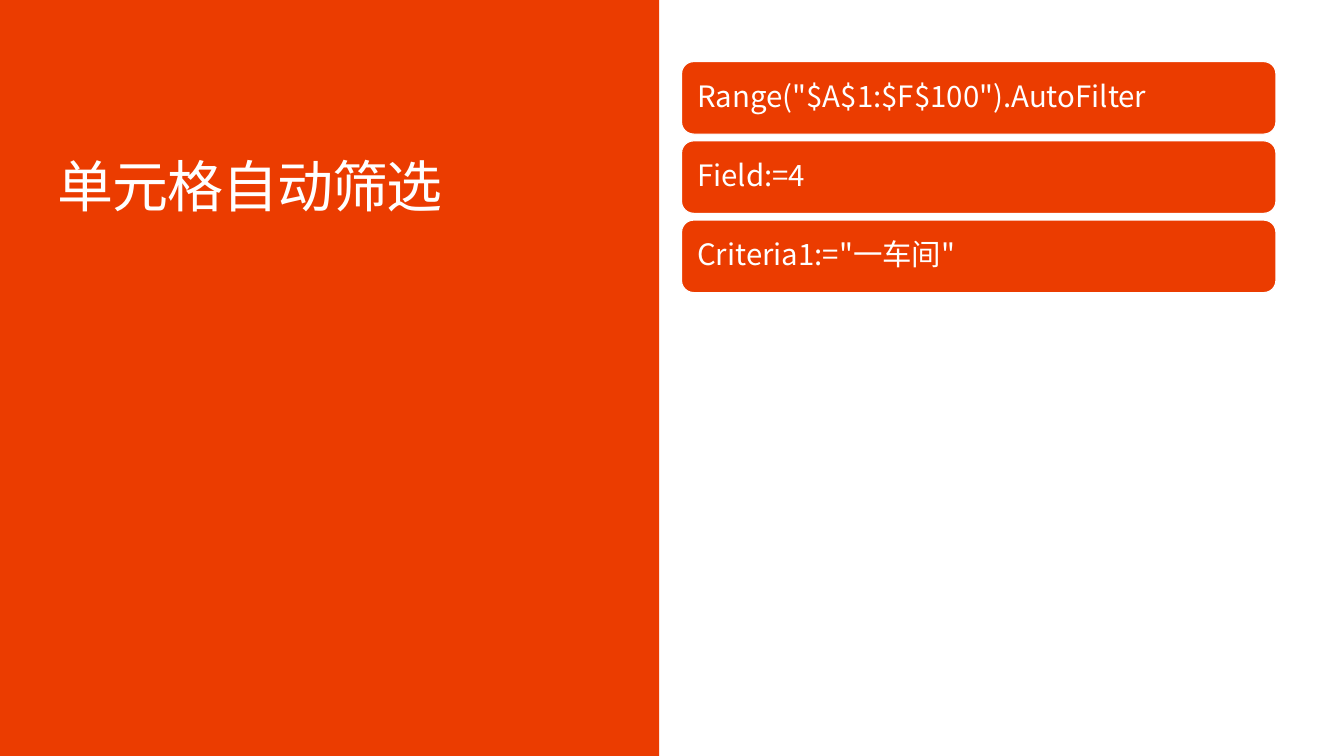
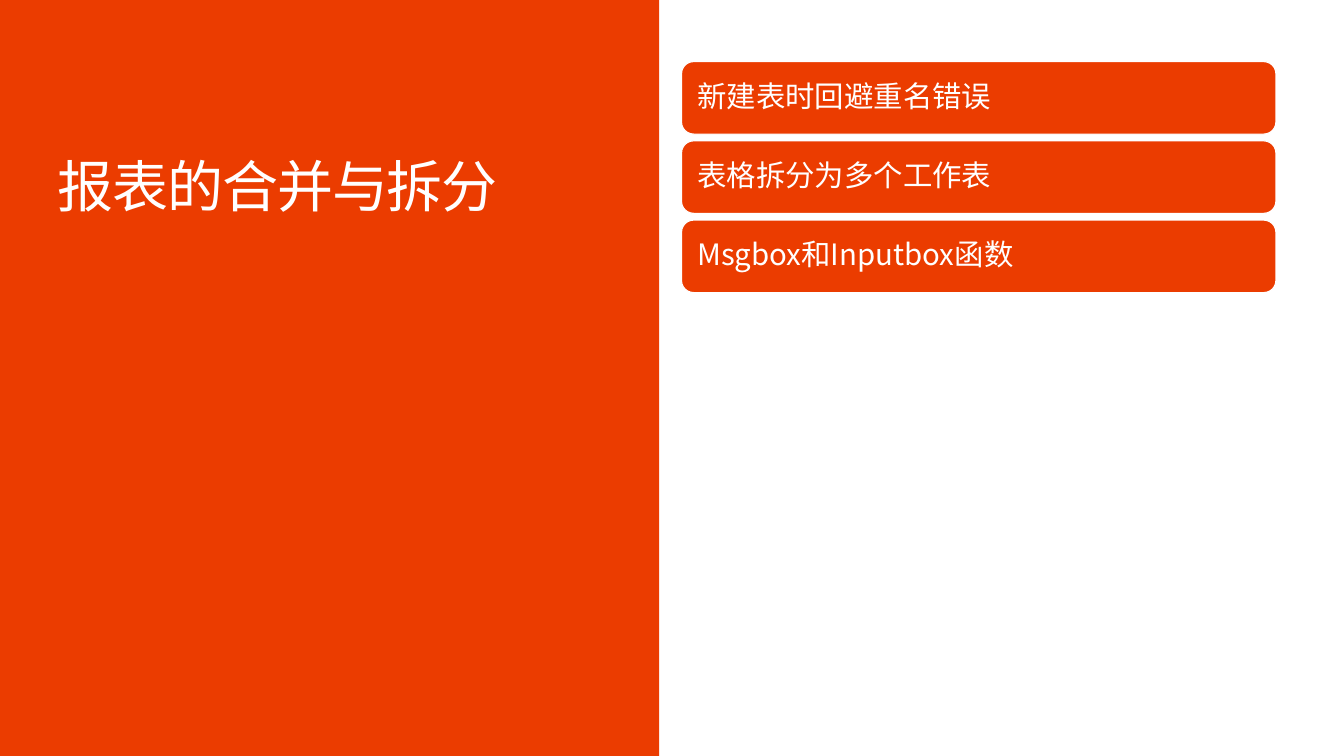
from pptx import Presentation
from pptx.dml.color import RGBColor
from pptx.enum import shapes, text
from pptx.oxml.ns import qn
from pptx.util import Pt
from lxml import etree

# Shared style
ORANGE = RGBColor(0xEB, 0x3C, 0x00)
WHITE = RGBColor(0xFF, 0xFF, 0xFF)
FONT = "Noto Sans CJK SC"
SLIDE_WIDTH, SLIDE_HEIGHT = 960, 540

# Regions: left, top, width, height in points
PANEL_BOX = (-0.7, 0, 471.6, SLIDE_HEIGHT)
TITLE_BOX = (41, 113.8, 411.8, 131)
BARS_BOX = (486.8, 44, 424.6, 165)
BAR_GAP = 4.8
BAR_INSET = 8.7

TOPICS = [
    ("单元格自动筛选",
     ['Range("$A$1:$F$100").AutoFilter', "Field:=4", 'Criteria1:="一车间"']),
    ("报表的合并与拆分",
     ["新建表时回避重名错误", "表格拆分为多个工作表", "Msgbox和Inputbox函数"]),
]


def write_text(shape, words, size, inset, anchor, tracking=0):
    frame = shape.text_frame
    frame.word_wrap = True
    frame.vertical_anchor = anchor
    frame.margin_left = frame.margin_right = Pt(inset)
    frame.margin_top = frame.margin_bottom = Pt(inset)
    paragraph = frame.paragraphs[0]
    paragraph.alignment = text.PP_ALIGN.LEFT
    paragraph.line_spacing = 0.9
    run = paragraph.add_run()
    run.text = words
    run.font.size = Pt(size)
    run.font.name = FONT
    run.font.color.rgb = WHITE
    # East Asian typeface and letter spacing
    properties = run.font._element
    latin = properties.find(qn("a:latin"))
    east_asian = etree.Element(qn("a:ea"), typeface=FONT)
    latin.addnext(east_asian)
    if tracking:
        properties.set("spc", str(round(tracking * 100)))


def add_block(slide, kind, box):
    shape = slide.shapes.add_shape(kind, *map(Pt, box))
    shape.shadow.inherit = False
    shape.fill.solid()
    shape.fill.fore_color.rgb = ORANGE
    shape.line.fill.background()
    return shape


def add_title(slide, box, title):
    title_box = slide.shapes.add_textbox(*map(Pt, box))
    write_text(title_box, title, 40, 0, text.MSO_ANCHOR.TOP, tracking=-0.7)


def add_bars(slide, box, items):
    left, top, width, height = box
    bar_height = (height - BAR_GAP * (len(items) - 1)) / len(items)
    for index, item in enumerate(items):
        bar_top = top + index * (bar_height + BAR_GAP)
        bar = add_block(slide, shapes.MSO_SHAPE.ROUNDED_RECTANGLE,
                        (left, bar_top, width, bar_height))
        bar.line.color.rgb = WHITE
        bar.line.width = Pt(0.85)
        write_text(bar, item, 21, BAR_INSET, text.MSO_ANCHOR.MIDDLE)


def add_topic_slide(presentation, title, items):
    slide = presentation.slides.add_slide(presentation.slide_layouts[6])
    add_block(slide, shapes.MSO_SHAPE.RECTANGLE, PANEL_BOX)
    add_title(slide, TITLE_BOX, title)
    add_bars(slide, BARS_BOX, items)


presentation = Presentation()
presentation.slide_width = Pt(SLIDE_WIDTH)
presentation.slide_height = Pt(SLIDE_HEIGHT)
for title, items in TOPICS:
    add_topic_slide(presentation, title, items)
presentation.save("out.pptx")
